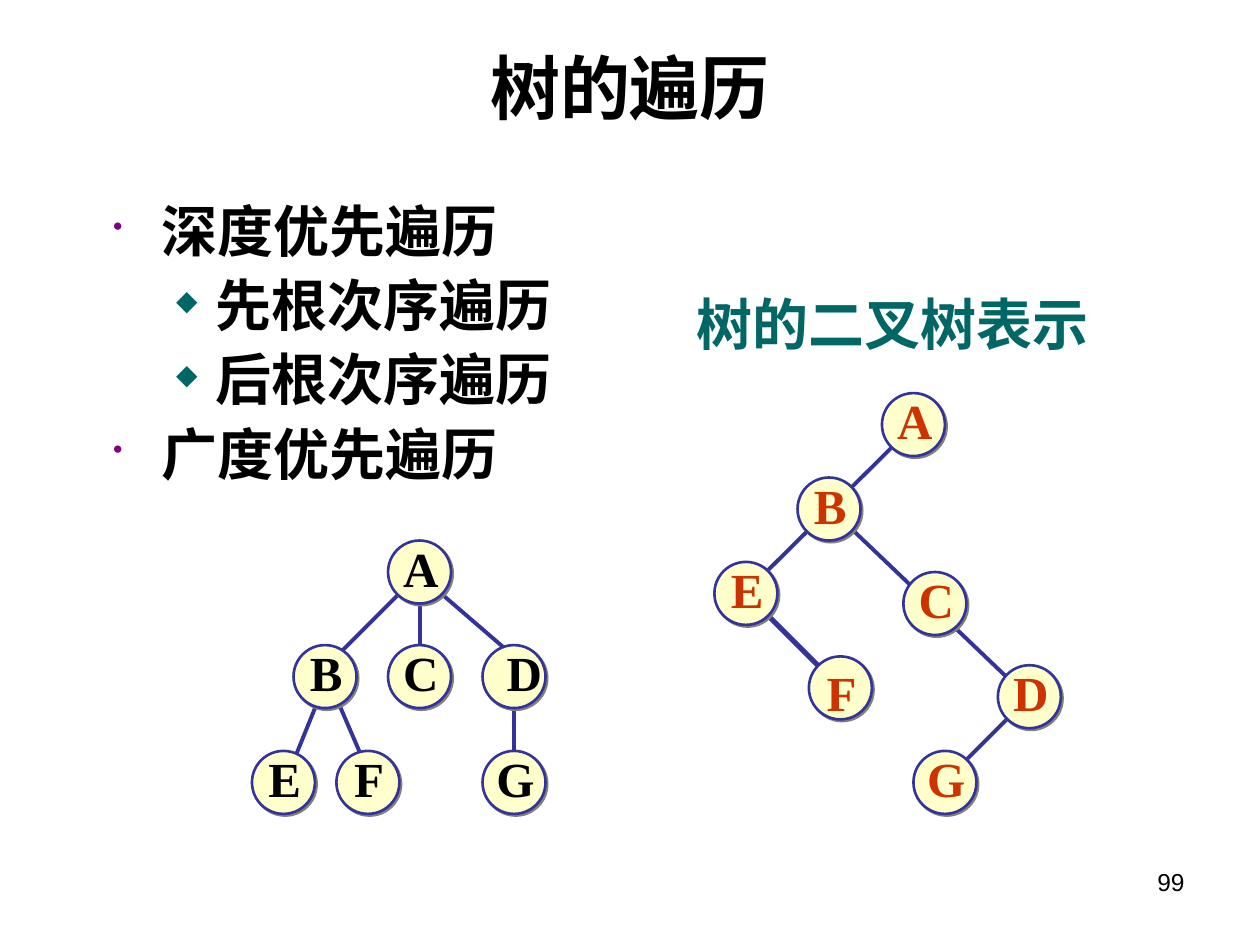
import pptx
import pptx.dml.color
import pptx.enum.shapes
import pptx.enum.text
import pptx.oxml
import pptx.oxml.ns
import pptx.util
from pptx.util import Inches

ALIGN = pptx.enum.text.PP_ALIGN
ANCHOR = pptx.enum.text.MSO_ANCHOR
BLACK, TEAL, PURPLE, RED = "000000", "006666", "800080", "CC3300"
NAVY, CREAM = "333399", "FFFFCC"
SERIF, SANS = "Times New Roman", "Arial"

NODE = 0.5
LABEL_HEIGHT = 0.57
LABEL_WIDTH = {"A": 0.48, "B": 0.46, "C": 0.48, "D": 0.48, "E": 0.46, "F": 0.44, "G": 0.5}

# Node corners and edge ends are inches from the top left of each tree's box.
TREE_NODES = {
    "A": (1.08, 0), "B": (0.33, 0.83), "C": (1.08, 0.83), "D": (1.83, 0.83),
    "E": (0, 1.67), "F": (0.67, 1.67), "G": (1.83, 1.67),
}
TREE_EDGES = [
    (1.17, 0.42, 0.67, 0.92, 2.25),
    (1.33, 0.5, 1.33, 0.92, 2.25),
    (1.5, 0.42, 2.08, 0.92, 2.25),
    (0.5, 1.33, 0.33, 1.75, 2.25),
    (0.67, 1.25, 0.92, 1.83, 2.25),
    (2.08, 1.25, 2.08, 1.75, 2.25),
]
BINARY_NODES = {
    "A": (1.33, 0), "B": (0.66, 0.67), "C": (1.5, 1.42), "D": (2.25, 2.16),
    "E": (0, 1.34), "F": (0.75, 2.09), "G": (1.58, 2.84),
}
BINARY_EDGES = [
    (1.5, 0.34, 0.33, 1.5, 2.25),
    (1.08, 1.07, 2.41, 2.34, 2.25),
    (0.33, 1.67, 0.83, 2.17, 3),
    (2.41, 2.5, 1.91, 3, 2.25),
]


def rgb(value):
    return pptx.dml.color.RGBColor.from_string(value)


def add_xml(parent, xml):
    ns = pptx.oxml.ns.nsdecls("a")
    parent.append(pptx.oxml.parse_xml(xml.replace("/>", f" {ns}/>", 1)
                                      if xml.count("<") == 1
                                      else xml.replace(">", f" {ns}>", 1)))


def style(p, size, font, color, bold=True, align=None):
    p.alignment = align
    for r in p.runs:
        r.font.size = pptx.util.Pt(size)
        r.font.name = font
        r.font.bold = bold
        r.font.color.rgb = rgb(color)


def add_text(s, box, text, wrap=True, **look):
    tb = s.shapes.add_textbox(*map(Inches, box))
    tf = tb.text_frame
    tf.word_wrap = wrap
    tf.text = text
    style(tf.paragraphs[0], **look)
    return tf


def add_title(s, box, text):
    title = s.shapes.title
    title.left, title.top, title.width, title.height = map(Inches, box)
    tf = title.text_frame
    tf.text = text
    tf.vertical_anchor = ANCHOR.MIDDLE
    style(tf.paragraphs[0], 40, SANS, BLACK, align=ALIGN.CENTER)


def add_outline(s, box, items):
    """Bulleted list of (level, text) items."""
    bullets = [("•", PURPLE, 0.38, 0.38), ("◆", TEAL, 0.81, 0.31)]
    tf = s.shapes.add_textbox(*map(Inches, box)).text_frame
    tf.word_wrap = True
    for i, (level, text) in enumerate(items):
        p = tf.add_paragraph() if i else tf.paragraphs[0]
        p.text = text
        p.level = level
        if i:
            p.space_before = pptx.util.Pt(4)
        char, color, margin, hang = bullets[level]
        pPr = p._p.get_or_add_pPr()
        pPr.set("marL", str(Inches(margin)))
        pPr.set("indent", str(-Inches(hang)))
        add_xml(pPr, f'<a:buClr><a:srgbClr val="{color}"/></a:buClr>')
        add_xml(pPr, '<a:buSzPct val="50000"/>')
        add_xml(pPr, f'<a:buChar char="{char}"/>')
        style(p, 32, SANS, BLACK)


def add_edge(s, x1, y1, x2, y2, width):
    line = s.shapes.add_connector(pptx.enum.shapes.MSO_CONNECTOR.STRAIGHT,
                                  *map(Inches, (x1, y1, x2, y2)))
    line.line.color.rgb = rgb(NAVY)
    line.line.width = pptx.util.Pt(width)
    add_xml(line._element.spPr, "<a:effectLst/>")


def add_node(s, x, y):
    node = s.shapes.add_shape(pptx.enum.shapes.MSO_SHAPE.OVAL,
                              *map(Inches, (x, y, NODE, NODE)))
    node.fill.solid()
    node.fill.fore_color.rgb = rgb(CREAM)
    node.line.color.rgb = rgb(NAVY)
    node.line.width = pptx.util.Pt(1.5)
    node.shadow.inherit = False
    effects = node._element.spPr.find(pptx.oxml.ns.qn("a:effectLst"))
    add_xml(effects, f'<a:outerShdw dist="{pptx.util.Pt(1.4)}" dir="2700000" algn="ctr" '
                     'rotWithShape="0"><a:srgbClr val="808080"/></a:outerShdw>')


def add_label(s, x, y, letter, color):
    """Letter centred just right of the middle of the node at x, y."""
    width = LABEL_WIDTH[letter]
    box = (x + NODE / 2 + 0.01 - width / 2, y - 0.07, width, LABEL_HEIGHT)
    tf = add_text(s, box, letter, wrap=False, size=28, font=SERIF, color=color,
                  align=ALIGN.CENTER)
    tf.vertical_anchor = ANCHOR.MIDDLE


def add_tree(s, left, top, nodes, edges, color, nudges):
    """Tree in a box at left, top; nudges shift single labels."""
    for x1, y1, x2, y2, width in edges:
        add_edge(s, left + x1, top + y1, left + x2, top + y2, width)
    for x, y in nodes.values():
        add_node(s, left + x, top + y)
    for letter, (x, y) in nodes.items():
        dx, dy = nudges.get(letter, (0, 0))
        add_label(s, left + x + dx, top + y + dy, letter, color)


def main():
    prs = pptx.Presentation()
    prs.slide_width, prs.slide_height = Inches(10), Inches(7.5)
    s = prs.slides.add_slide(prs.slide_layouts[5])
    add_title(s, (0.5, 0.3, 9, 0.77), "树的遍历")
    add_outline(s, (0.8, 1.51, 9, 2.6), [
        (0, "深度优先遍历"),
        (1, "先根次序遍历"),
        (1, "后根次序遍历"),
        (0, "广度优先遍历"),
    ])
    add_text(s, (5.43, 2.25, 3.42, 0.64), "树的二叉树表示",
             size=32, font=SERIF, color=TEAL)
    add_tree(s, 2, 4.29, TREE_NODES, TREE_EDGES, BLACK, {"D": (0.07, 0)})
    add_tree(s, 5.67, 3.12, BINARY_NODES, BINARY_EDGES, RED, {"F": (0, 0.07)})
    add_text(s, (7.17, 6.83, 2.33, 0.52), "99", size=14, font=SANS, color=BLACK,
             bold=False, align=ALIGN.RIGHT)
    prs.save("out.pptx")


if __name__ == "__main__":
    main()
